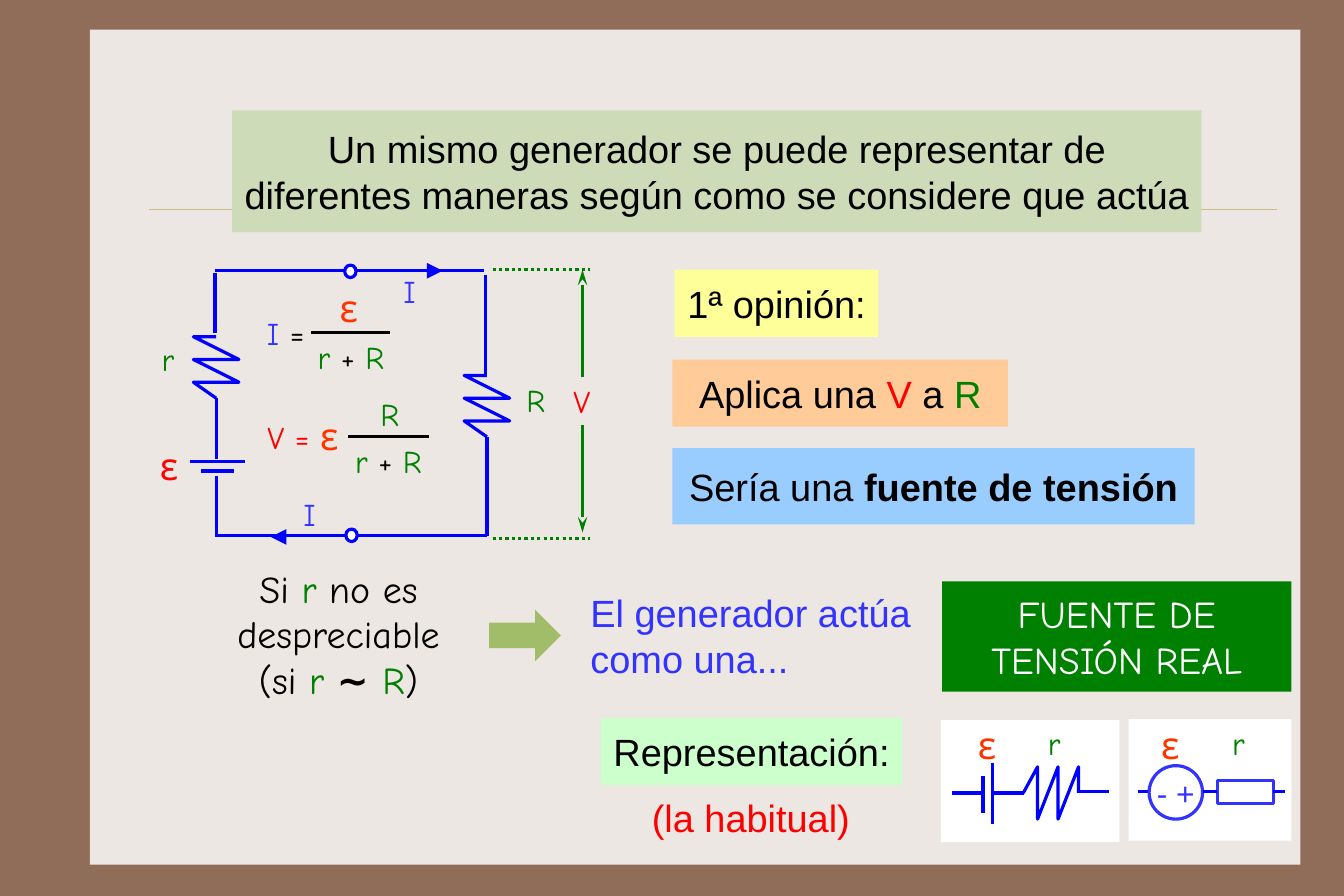
from lxml.etree import SubElement
from pptx import Presentation
from pptx.dml.color import RGBColor
from pptx.enum.dml import MSO_LINE
from pptx.enum.shapes import MSO_CONNECTOR, MSO_SHAPE
from pptx.enum.text import MSO_ANCHOR, MSO_AUTO_SIZE, PP_ALIGN
from pptx.oxml.ns import qn
from pptx.util import Inches, Pt

COLORS = {
    "frame": "906D58", "panel": "EDE7E3", "rule": "CBBD83", "banner": "CDDBB9",
    "arrow": "A1BD69", "sky": "99CCFF", "peach": "FFCC99", "lemon": "FFFF99",
    "mint": "CCFFCC", "black": "000000", "white": "FFFFFF", "red": "FF0000",
    "orange": "FF3300", "green": "008000", "blue": "0000FF", "violet": "3333FF",
}
SANS, COMIC = "Arial", "Comic Neue"

TITLE = [[("Un mismo generador se puede representar de diferentes maneras "
           "según como se considere que actúa", "black")]]
TITLE_AREA = (2.04, 0.97, 8.52, 1.07)

CARDS = [
    ((5.93, 2.37, 1.79, 0.59), "lemon", SANS, [("1ª opinión:", "black")]),
    ((5.91, 3.16, 2.95, 0.59), "peach", SANS,
     [("Aplica una ", "black"), ("V", "red"), (" a ", "black"), ("R", "green")]),
    ((5.91, 3.94, 4.59, 0.67), "sky", SANS,
     [("Sería una ", "black"), ("fuente de tensión", "black", True)]),
    ((8.28, 5.11, 3.07, 0.97), "green", COMIC, [("FUENTE DE TENSIÓN REAL", "white")]),
    ((5.28, 6.31, 2.65, 0.59), "mint", SANS, [("Representación:", "black")]),
]

NOTES = [
    ((1.33, 4.92, 3.29, 1.3), COMIC, PP_ALIGN.CENTER, [
        [("Si ", "black"), ("r", "green"), (" no es despreciable", "black")],
        [("(si", "black"), (" r ", "green"), ("∼ ", "black", True),
         ("R", "green"), (")", "black")]]),
    ((5.09, 5.09, 3.02, 0.99), SANS, PP_ALIGN.LEFT,
     [[("El generador actúa como una...", "violet")]]),
    ((5.62, 6.93, 1.96, 0.5), SANS, PP_ALIGN.CENTER, [[("(la habitual)", "red")]]),
]

DENOMINATOR = [("r ", "green"), ("+ ", "black"), ("R", "green")]
LABELS = [
    (1.33, 2.95, 0.29, 20, [("r", "green")]),
    (1.34, 3.85, 0.29, 24, [("ε", "red")]),
    (4.55, 3.31, 0.32, 20, [("R", "green")]),
    (4.95, 3.32, 0.33, 20, [("V", "red")]),
    (3.43, 2.35, 0.34, 20, [("I", "violet")]),
    (2.55, 4.31, 0.34, 20, [("I", "violet")]),
    (2.22, 2.72, 0.58, 20, [("I ", "violet"), ("=", "black")]),
    (2.92, 2.46, 0.29, 24, [("ε", "orange")]),
    (2.73, 2.93, 0.71, 20, DENOMINATOR),
    (2.23, 3.63, 0.61, 20, [("V =", "red")]),
    (2.75, 3.59, 0.29, 24, [("ε", "orange")]),
    (3.25, 3.43, 0.35, 20, [("R", "green")]),
    (3.06, 3.84, 0.71, 20, DENOMINATOR),
    (8.53, 6.3, 0.29, 24, [("ε", "orange")]),
    (9.12, 6.32, 0.29, 20, [("r", "green")]),
    (10.14, 6.3, 0.29, 24, [("ε", "orange")]),
    (10.74, 6.32, 0.29, 20, [("r", "green")]),
]

SYMBOL_CARDS = [(8.27, 6.33, 1.57, 1.07), (9.92, 6.32, 1.43, 1.07)]
WIRES = [
    (1.89, 2.38, 4.25, 2.38), (1.89, 4.71, 4.28, 4.71),
    (4.28, 4.71, 4.28, 3.84), (4.27, 3.29, 4.27, 2.42),
    (1.89, 2.93, 1.89, 2.4), (1.9, 4.03, 1.9, 3.5), (1.9, 4.18, 1.9, 4.71),
    (1.67, 4.06, 2.15, 4.06), (1.77, 4.14, 2.06, 4.14),
    (8.72, 6.71, 8.72, 7.24), (8.64, 6.82, 8.64, 7.15),
    (8.37, 6.97, 8.63, 6.97), (8.74, 6.97, 9, 6.97), (9.49, 6.96, 9.75, 6.96),
    (10, 6.96, 10.1, 6.96),
]
FRACTION_BARS = [(2.73, 2.92, 3.43, 2.92), (3.06, 3.84, 3.77, 3.84)]
CURRENTS = [(3.8, 2.38, 3.89, 2.38), (2.44, 4.72, 2.38, 4.72)]
VOLTAGE_LIMITS = [(4.33, 2.37, 5.19, 2.37), (4.33, 4.73, 5.19, 4.73)]
VOLTAGE_ARROWS = [(5.12, 3.31, 5.12, 2.37), (5.12, 3.74, 5.12, 4.68)]
TERMINALS = [(3.03, 2.33, 0.1, 0.11), (3.04, 4.65, 0.1, 0.11)]
ZIGZAG = [(0, 0), (0, -1), (1, 1), (1, -1), (2, 1), (2, -1), (2.7, 0)]
RESISTORS = [(1.9, 2.96, 0.2, 0.2, False), (4.28, 3.3, 0.2, 0.2, False),
             (9.48, 6.97, 0.23, -0.18, True)]


def rgb(name):
    return RGBColor.from_string(COLORS[name])


def write(shape, paragraphs, font, size=24, align=PP_ALIGN.CENTER, wrap=True,
          inset=0.1, anchor=MSO_ANCHOR.MIDDLE):
    frame = shape.text_frame
    frame.auto_size = MSO_AUTO_SIZE.NONE
    frame.word_wrap = wrap
    frame.vertical_anchor = anchor
    frame.margin_left = frame.margin_right = Inches(inset)
    frame.margin_top = frame.margin_bottom = Inches(0.04)
    for i, runs in enumerate(paragraphs):
        paragraph = frame.add_paragraph() if i else frame.paragraphs[0]
        paragraph.alignment = align
        for text, color, *bold in runs:
            run = paragraph.add_run()
            run.text = text
            run.font.name, run.font.size = font, Pt(size)
            run.font.bold = bool(bold)
            run.font.color.rgb = rgb(color)


def add_block(area, fill, outline=None, kind=MSO_SHAPE.RECTANGLE):
    block = slide.shapes.add_shape(kind, *map(Inches, area))
    block.shadow.inherit = False
    block.fill.solid()
    block.fill.fore_color.rgb = rgb(fill)
    if outline:
        block.line.color.rgb, block.line.width = rgb(outline), Pt(2)
    else:
        block.line.fill.background()
    return block


def add_line(ends, color, width=2, head=None, head_width="med"):
    line = slide.shapes.add_connector(MSO_CONNECTOR.STRAIGHT, *map(Inches, ends))
    line.line.color.rgb, line.line.width = rgb(color), Pt(width)
    properties = line.element.spPr
    if head:
        SubElement(properties.find(qn("a:ln")), qn("a:tailEnd"),
                   type=head, w=head_width, len="lg")
    SubElement(properties, qn("a:effectLst"))
    return line


def add_resistor(x, y, half, step, horizontal):
    points = [(x + a * step, y + s * half) if horizontal else (x + s * half, y + a * step)
              for a, s in ZIGZAG]
    points = [(Inches(px), Inches(py)) for px, py in points]
    builder = slide.shapes.build_freeform(*points[0])
    builder.add_line_segments(points[1:], close=False)
    resistor = builder.convert_to_shape()
    resistor.shadow.inherit = False
    resistor.fill.background()
    resistor.line.color.rgb, resistor.line.width = rgb("blue"), Pt(2)


deck = Presentation()
deck.slide_width, deck.slide_height = Pt(850.5), Pt(567)
slide = deck.slides.add_slide(deck.slide_layouts[5])
slide.background.fill.solid()
slide.background.fill.fore_color.rgb = rgb("frame")
add_block((0.79, 0.26, 10.64, 7.34), "panel")
add_line((1.31, 1.84, 11.22, 1.84), "rule", 0.25)

title = slide.shapes.title
title.left, title.top, title.width, title.height = map(Inches, TITLE_AREA)
title.fill.solid()
title.fill.fore_color.rgb = rgb("banner")
write(title, TITLE, SANS)
title.element.getparent().append(title.element)

for area, fill, font, runs in CARDS:
    write(add_block(area, fill), [runs], font)
for area, font, align, paragraphs in NOTES:
    note = slide.shapes.add_textbox(*map(Inches, area))
    write(note, paragraphs, font, align=align, inset=0.08 if font == COMIC else 0.1)
add_block((4.3, 5.36, 0.63, 0.45), "arrow", kind=MSO_SHAPE.RIGHT_ARROW)

for area in SYMBOL_CARDS:
    add_block(area, "white")
for ends in WIRES:
    add_line(ends, "blue")
for ends in FRACTION_BARS:
    add_line(ends, "black")
for ends in CURRENTS:
    add_line(ends, "blue", 1, "triangle", "lg")
for ends in VOLTAGE_LIMITS:
    add_line(ends, "green").line.dash_style = MSO_LINE.ROUND_DOT
for ends in VOLTAGE_ARROWS:
    add_line(ends, "green", head="stealth")
for resistor in RESISTORS:
    add_resistor(*resistor)
for area in TERMINALS:
    add_block(area, "white", "blue", MSO_SHAPE.OVAL)

source = add_block((10.1, 6.73, 0.47, 0.47), "white", "violet", MSO_SHAPE.OVAL)
write(source, [[("- +", "violet")]], SANS, 20, wrap=False, inset=0)
inner_resistance = add_block((10.7, 6.86, 0.49, 0.2), "white", "violet")
add_line((10.57, 6.96, 10.7, 6.96), "blue").end_connect(inner_resistance, 1)
add_line((11.19, 6.96, 11.29, 6.96), "blue").begin_connect(inner_resistance, 3)

for x, y, width, size, runs in LABELS:
    label = slide.shapes.add_textbox(*map(Inches, (x, y, width, 0.42 if size == 24 else 0.39)))
    write(label, [runs], COMIC, size, wrap=False, inset=0.08, anchor=MSO_ANCHOR.TOP)

deck.save("out.pptx")
